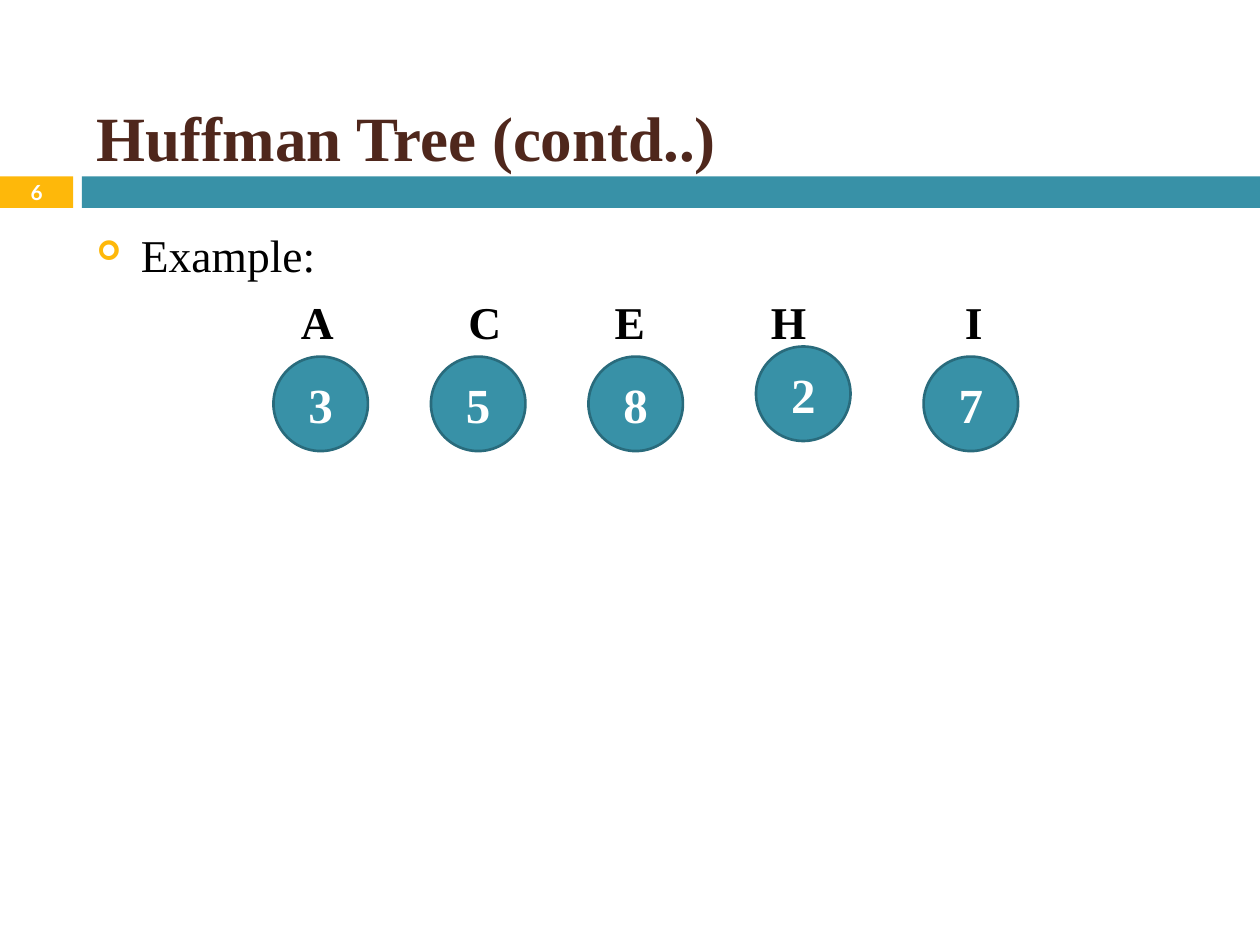
from pptx import Presentation
from pptx.dml.color import RGBColor
from pptx.enum.shapes import MSO_SHAPE
from pptx.enum.text import MSO_ANCHOR, PP_ALIGN
from pptx.util import Inches, Pt
from lxml.etree import SubElement
from pptx.oxml.ns import qn

THEME = {
    "teal": "3891A7", "teal_dark": "296B7C", "gold": "FEB80A",
    "brown": "4F271C", "black": "000000", "white": "FFFFFF",
    "serif": "Times New Roman", "sans": "Lato",
    "title": 36, "body": 26, "node": 28, "number": 11.9,
}


def add_block(kind, left, top, width, height, fill, line=None):
    shape = page.shapes.add_shape(kind, Inches(left), Inches(top), Inches(width), Inches(height))
    shape.shadow.inherit = False
    shape.fill.solid()
    shape.fill.fore_color.rgb = RGBColor.from_string(THEME[fill])
    if line:
        shape.line.color.rgb = RGBColor.from_string(THEME[line])
        shape.line.width = Pt(1.5)
    else:
        shape.line.fill.background()
    return shape


def write(paragraph, text, size, color, font="serif", bold=True, align=PP_ALIGN.LEFT):
    paragraph.text = text
    paragraph.alignment = align
    for span in paragraph.runs:
        span.font.name = THEME[font]
        span.font.size = Pt(THEME[size])
        span.font.bold = bold
        span.font.color.rgb = RGBColor.from_string(THEME[color])


deck = Presentation()
deck.slide_width, deck.slide_height = Inches(10), Inches(7.5)
page = deck.slides.add_slide(deck.slide_layouts[6])

number_box = add_block(MSO_SHAPE.RECTANGLE, 0, 1.4, 0.58, 0.25, "gold")
add_block(MSO_SHAPE.RECTANGLE, 0.65, 1.4, 9.35, 0.25, "teal")
number_frame = number_box.text_frame
number_frame.margin_top = number_frame.margin_bottom = 0
number_frame.vertical_anchor = MSO_ANCHOR.MIDDLE
write(number_frame.paragraphs[0], "6", "number", "white", "sans", align=PP_ALIGN.CENTER)

title = page.shapes.add_textbox(Inches(0.67), Inches(0.58), Inches(8.92), Inches(1))
title.text_frame.word_wrap = True
title.text_frame.vertical_anchor = MSO_ANCHOR.MIDDLE
write(title.text_frame.paragraphs[0], "Huffman Tree (contd..)", "title", "brown")

body = page.shapes.add_textbox(Inches(0.67), Inches(1.75), Inches(8.92), Inches(4.92))
body.text_frame.word_wrap = True
example = body.text_frame.paragraphs[0]
write(example, "Example:", "body", "black", bold=False, align=PP_ALIGN.JUSTIFY)
example.space_before = Pt(7)
bullet = example._p.get_or_add_pPr()
bullet.set("marL", str(Inches(0.35)))
bullet.set("indent", str(Inches(-0.35)))
SubElement(SubElement(bullet, qn("a:buClr")), qn("a:srgbClr"), val=THEME["gold"])
SubElement(bullet, qn("a:buSzPct"), val="60000")
SubElement(bullet, qn("a:buFont"), typeface="Wingdings")
SubElement(bullet, qn("a:buChar"), char="➢")

nodes = [
    ("A", 1.75, "3", 2.17, 2.83),
    ("C", 3.08, "5", 3.42, 2.83),
    ("E", 4.23, "8", 4.67, 2.83),
    ("H", 5.49, "2", 6, 2.75),
    ("I", 6.96, "7", 7.33, 2.83),
]

letters = body.text_frame.add_paragraph()
write(letters, "".join("\t" + node[0] for node in nodes), "body", "black")
letters.space_before = Pt(7)
tabs = SubElement(letters._p.get_or_add_pPr(), qn("a:tabLst"))

for letter, stop, weight, left, top in nodes:
    SubElement(tabs, qn("a:tab"), pos=str(Inches(stop)), algn="ctr")
    circle = add_block(MSO_SHAPE.OVAL, left, top, 0.75, 0.75, "teal", "teal_dark")
    circle.text_frame.vertical_anchor = MSO_ANCHOR.MIDDLE
    write(circle.text_frame.paragraphs[0], weight, "node", "white", align=PP_ALIGN.CENTER)

deck.save("out.pptx")
